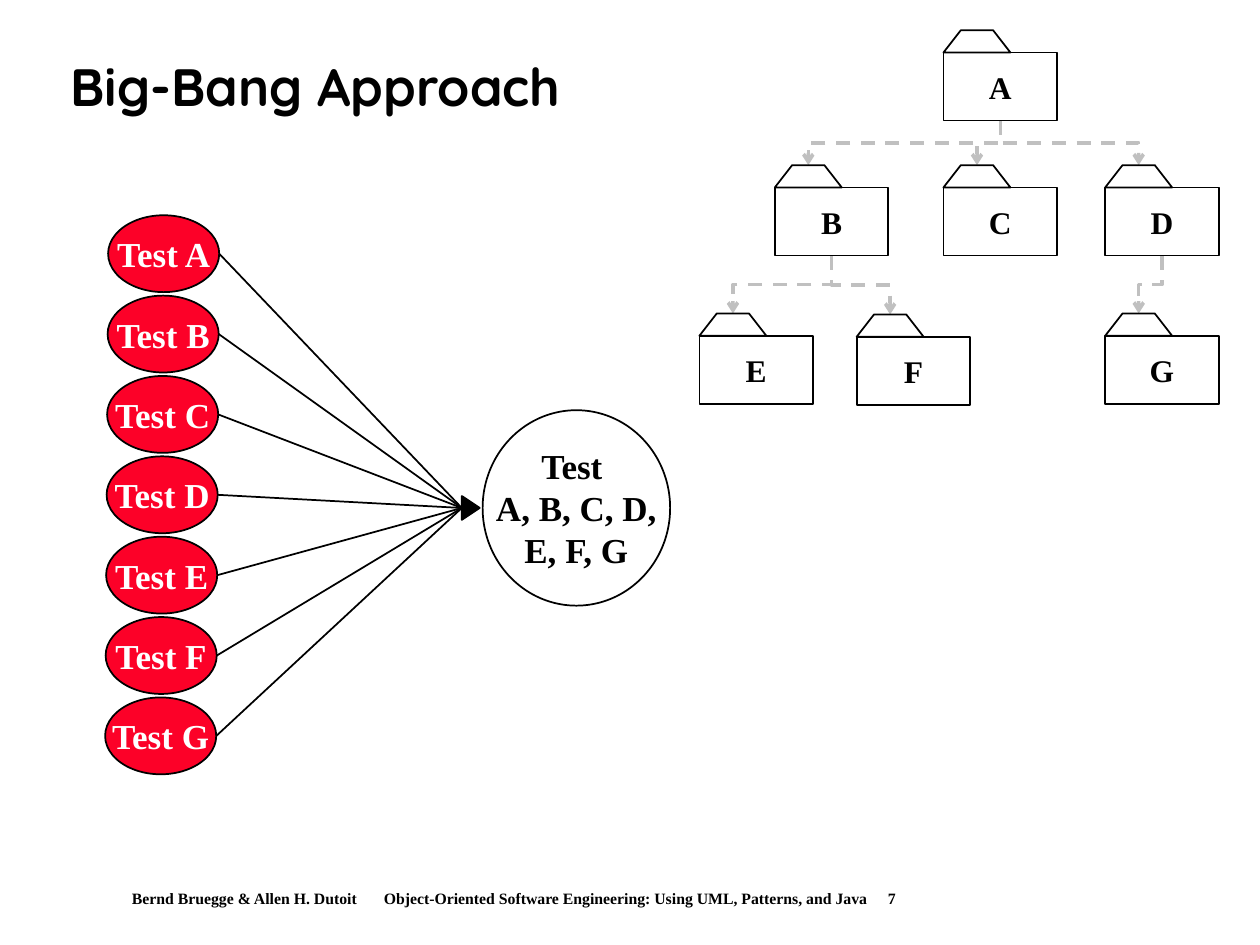
from dataclasses import dataclass

from lxml.etree import SubElement
from pptx import Presentation
from pptx.dml.color import RGBColor
from pptx.enum.dml import MSO_LINE
from pptx.enum.shapes import MSO_CONNECTOR, MSO_SHAPE
from pptx.enum.text import MSO_ANCHOR, PP_ALIGN
from pptx.oxml.ns import qn
from pptx.util import Cm, Pt


@dataclass(frozen=True)
class Theme:
    ink: RGBColor = RGBColor(0x00, 0x00, 0x00)
    paper: RGBColor = RGBColor(0xFF, 0xFF, 0xFF)
    alert: RGBColor = RGBColor(0xFC, 0x01, 0x28)
    link: RGBColor = RGBColor(0xC0, 0xC0, 0xC0)
    heading_font: str = "Quicksand"
    body_font: str = "Times New Roman"
    title_size: int = 30
    test_size: int = 20
    folder_size: int = 18
    footer_size: int = 9
    outline: int = 1
    link_width: int = 2


@dataclass(frozen=True)
class Box:
    left: float
    top: float
    width: float
    height: float

    def lengths(self):
        return Cm(self.left), Cm(self.top), Cm(self.width), Cm(self.height)


THEME = Theme()
FOLDERS = {
    "A": (4.92, 0),
    "B": (1.52, 2.72),
    "C": (4.92, 2.72),
    "D": (8.18, 2.72),
    "E": (0, 5.71),
    "F": (3.17, 5.73),
    "G": (8.18, 5.71),
}
CALLS = ["AB", "BE", "BF", "DG", "AC", "AD"]
BODY_WIDTH, BODY_HEIGHT = 2.29, 1.37
TAB_WIDTH, TAB_HEIGHT, TAB_SLANT = 1.35, 0.45, 0.35


def write(shape, text, size, color=THEME.ink, font=THEME.body_font,
          align=PP_ALIGN.CENTER, wrap=False):
    frame = shape.text_frame
    frame.text = text
    frame.word_wrap = wrap
    frame.vertical_anchor = MSO_ANCHOR.MIDDLE
    for para in frame.paragraphs:
        para.alignment = align
        for span in para.runs:
            span.font.name = font
            span.font.size = Pt(size)
            span.font.bold = True
            span.font.color.rgb = color


def style(shape, fill=None):
    shape.shadow.inherit = False
    shape.line.color.rgb = THEME.ink
    shape.line.width = Pt(THEME.outline)
    if fill is None:
        shape.fill.background()
    else:
        shape.fill.solid()
        shape.fill.fore_color.rgb = fill


def add_outlined(page, kind, box, fill=None):
    shape = page.shapes.add_shape(kind, *box.lengths())
    style(shape, fill)
    return shape


def add_line(page, kind, start, end, color, width):
    line = page.shapes.add_connector(kind, *map(Cm, (*start, *end)))
    line.line.color.rgb = color
    line.line.width = Pt(width)
    SubElement(line._element.spPr, qn("a:effectLst"))
    return line


def add_call(page, start, end):
    run, drop = end[0] - start[0], end[1] - start[1]
    center_x, center_y = (start[0] + end[0]) / 2, (start[1] + end[1]) / 2
    half_drop, half_run = drop / 2, abs(run) / 2
    call = add_line(page, MSO_CONNECTOR.ELBOW,
                    (center_x - half_drop, center_y - half_run),
                    (center_x + half_drop, center_y + half_run),
                    THEME.link, THEME.link_width)
    call.line.dash_style = MSO_LINE.DASH
    SubElement(call.line._get_or_add_ln(), qn("a:tailEnd"), type="arrow")
    frame = call._element.spPr.find(qn("a:xfrm"))
    frame.set("rot", str((90 if run < 0 else 270) * 60000))
    if run > 0:
        frame.set("flipH", "1")


def add_folder(page, name, box):
    body = add_outlined(page, MSO_SHAPE.RECTANGLE,
                        Box(box.left, box.top + TAB_HEIGHT, box.width, box.height - TAB_HEIGHT))
    write(body, name, THEME.folder_size)
    base = box.top + TAB_HEIGHT
    corners = [(TAB_SLANT, box.top), (TAB_WIDTH - TAB_SLANT, box.top), (TAB_WIDTH, base)]
    builder = page.shapes.build_freeform(Cm(box.left), Cm(base))
    builder.add_line_segments([(Cm(box.left + x), Cm(y)) for x, y in corners])
    style(builder.convert_to_shape())


def add_hierarchy(page, box):
    folders = {
        name: Box(box.left + x, box.top + y, BODY_WIDTH, TAB_HEIGHT + BODY_HEIGHT)
        for name, (x, y) in FOLDERS.items()
    }
    for caller, callee in CALLS:
        source, target = folders[caller], folders[callee]
        add_call(page, (source.left + source.width / 2, source.top + source.height),
                 (target.left + TAB_WIDTH / 2, target.top))
    for name, folder in folders.items():
        add_folder(page, name, folder)


def add_title(page, box):
    title = page.shapes.add_textbox(*box.lengths())
    write(title, "Big-Bang Approach", THEME.title_size, font=THEME.heading_font,
          align=PP_ALIGN.LEFT, wrap=True)
    title.text_frame.paragraphs[0].line_spacing = 0.9


def add_tests(page, box):
    width, height, pitch, drift = 2.24, 1.55, 1.62, 0.01
    hub_width, hub_height = 3.78, 3.94
    hub_left = box.left + box.width - hub_width
    middle = box.top + 5.9
    meeting = (hub_left - 0.42, middle)
    for index, name in enumerate(FOLDERS):
        test = Box(box.left - drift * index, box.top + pitch * index, width, height)
        oval = add_outlined(page, MSO_SHAPE.OVAL, test, THEME.alert)
        write(oval, f"Test {name}", THEME.test_size, THEME.paper)
        add_line(page, MSO_CONNECTOR.STRAIGHT,
                 (test.left + width, test.top + height / 2), meeting,
                 THEME.ink, THEME.outline)
    hub = add_outlined(page, MSO_SHAPE.OVAL,
                       Box(hub_left, middle - hub_height / 2, hub_width, hub_height))
    write(hub, "Test \nA, B, C, D,\nE, F, G", THEME.test_size)
    head = add_outlined(page, MSO_SHAPE.ISOSCELES_TRIANGLE,
                        Box(hub_left - 0.48, middle - 0.18, 0.48, 0.36), THEME.ink)
    head.rotation = 90


def add_footer(page, box):
    footer = page.shapes.add_textbox(*box.lengths())
    para = footer.text_frame.paragraphs[0]
    stops = SubElement(para._p.get_or_add_pPr(), qn("a:tabLst"))
    for position, side in ((7.84, "l"), (20.93, "r")):
        SubElement(stops, qn("a:tab"), pos=str(Cm(position)), algn=side)
    write(footer, "Bernd Bruegge & Allen H. Dutoit\t"
          "Object-Oriented Software Engineering: Using UML, Patterns, and Java\t7",
          THEME.footer_size, align=PP_ALIGN.LEFT, wrap=True)


def main():
    deck = Presentation()
    deck.slide_width, deck.slide_height = Cm(25.4), Cm(19.05)
    page = deck.slides.add_slide(deck.slide_layouts[6])
    add_footer(page, Box(2.41, 17.78, 22.35, 0.64))
    add_hierarchy(page, Box(14.1, 0.61, 10.47, 7.55))
    add_title(page, Box(1.17, 0.61, 22.66, 2.39))
    add_tests(page, Box(2.18, 4.34, 11.33, 11.27))
    deck.save("out.pptx")


if __name__ == "__main__":
    main()
